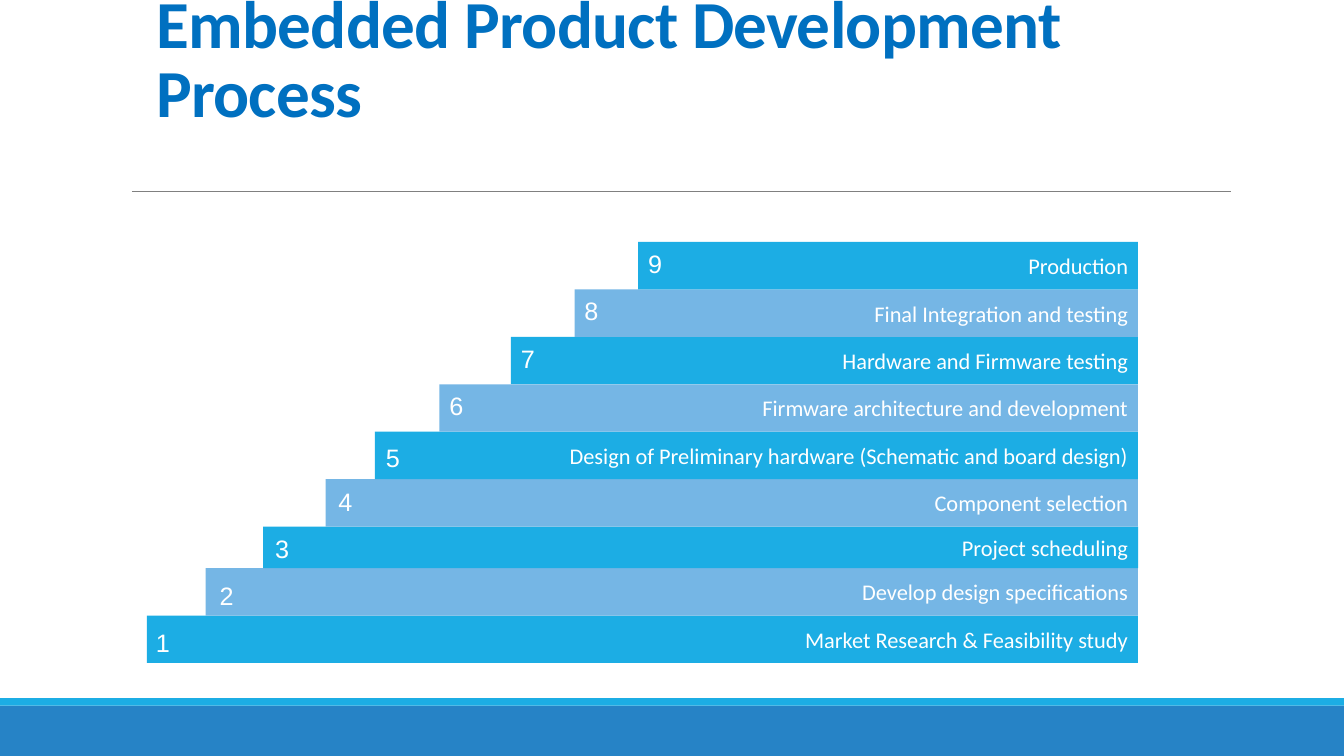
from lxml.etree import SubElement
from pptx import Presentation
from pptx.dml.color import RGBColor
from pptx.enum.shapes import MSO_CONNECTOR, MSO_SHAPE
from pptx.enum.text import MSO_ANCHOR, MSO_AUTO_SIZE, PP_ALIGN
from pptx.oxml.ns import qn
from pptx.util import Pt

BLUE = RGBColor(0x00, 0x70, 0xC0)
DEEP = RGBColor(0x26, 0x83, 0xC6)
CYAN = RGBColor(0x1C, 0xAD, 0xE4)
PALE = RGBColor(0x75, 0xB6, 0xE5)
GREY = RGBColor(0x80, 0x80, 0x80)
WHITE = RGBColor(0xFF, 0xFF, 0xFF)

HEAD = {"size": Pt(48), "name": "Calibri", "bold": True}
LABEL = {"size": Pt(16), "name": "Calibri"}
DIGIT = {"size": Pt(18), "name": "Arial"}

deck = Presentation()
deck.slide_width, deck.slide_height = Pt(960), Pt(540)
slide = deck.slides.add_slide(deck.slide_layouts[5])
shapes = slide.shapes


def write(shape, text, form, color, align, anchor):
    frame = shape.text_frame
    frame.word_wrap = True
    frame.auto_size = MSO_AUTO_SIZE.NONE
    frame.vertical_anchor = anchor
    para = frame.paragraphs[0]
    para.alignment = align
    run = para.add_run()
    run.text = text
    for key, value in form.items():
        setattr(run.font, key, value)
    run.font.color.rgb = color
    return para


def block(left, top, width, height, color):
    rect = shapes.add_shape(MSO_SHAPE.RECTANGLE, Pt(left), Pt(top), Pt(width), Pt(height))
    rect.shadow.inherit = False
    rect.fill.solid()
    rect.fill.fore_color.rgb = color
    rect.line.fill.background()
    return rect


block(0, 504, 960, 36, DEEP)
block(0, 498.7, 960, 5.3, CYAN)

rule = shapes.add_connector(MSO_CONNECTOR.STRAIGHT, Pt(94.3), Pt(136.6), Pt(879), Pt(136.6))
rule.line.color.rgb = GREY
rule.line.width = Pt(0.5)
SubElement(rule._element.spPr, qn("a:effectLst"))

title = shapes.title
place = {"left": Pt(104.4), "top": Pt(39.6), "width": Pt(783.4), "height": Pt(57.6)}
for key, value in place.items():
    setattr(title, key, value)
para = write(title, "Embedded Product Development Process", HEAD, BLUE,
             PP_ALIGN.LEFT, MSO_ANCHOR.BOTTOM)
para.line_spacing = 0.85
para.runs[0].font._element.set("spc", "-50")

# label, left edge, height, digit shift right, digit shift down
STEPS = [
    ("Market Research & Feasibility study", 105, 33.9, -0.7, 5),
    ("Develop design specifications", 146.9, 33.9, 2.9, 5),
    ("Project scheduling", 187.9, 29.6, 1.5, 1.4),
    ("Component selection", 232.6, 33.9, 2.1, 1.4),
    ("Design of Preliminary hardware (Schematic and board design)", 267.8, 33.9, 0.8, 4.3),
    ("Firmware architecture and development", 313.9, 33.9, 0, 0.9),
    ("Hardware and Firmware testing", 365, 33.9, 0, 0.9),
    ("Final Integration and testing", 410.4, 33.9, 0, 0.9),
    ("Production", 455.8, 33.9, 0, 0.9),
]
RIGHT = 812.9
top = 473.6
for num, (label, left, height, over, down) in enumerate(STEPS, 1):
    top -= height
    bar = block(left, top, RIGHT - left, height, CYAN if num % 2 else PALE)
    write(bar, label, LABEL, WHITE, PP_ALIGN.RIGHT, MSO_ANCHOR.MIDDLE)
    box = shapes.add_textbox(Pt(left + over), Pt(top + down), Pt(22.5), Pt(29))
    write(box, str(num), DIGIT, WHITE, PP_ALIGN.LEFT, MSO_ANCHOR.TOP)

deck.save("out.pptx")
